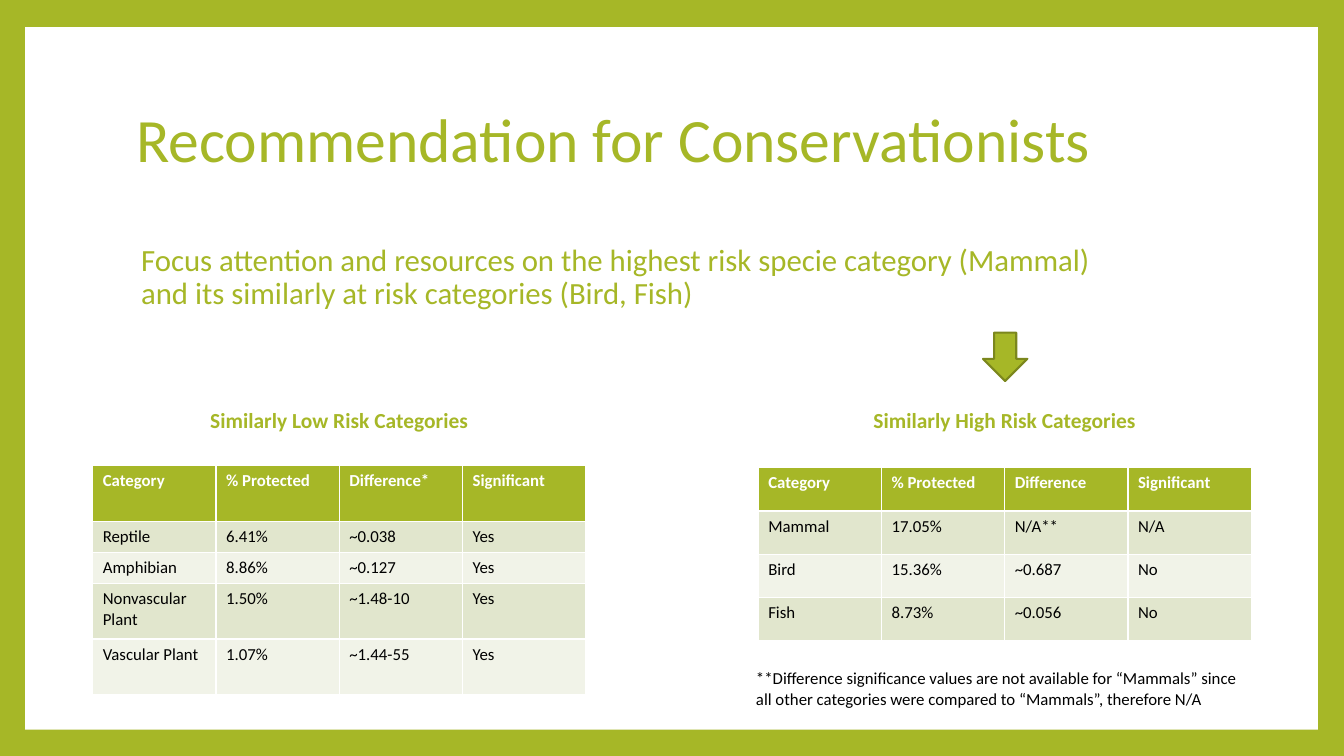
from dataclasses import dataclass

from pptx import Presentation
from pptx.dml.color import RGBColor
from pptx.enum.shapes import MSO_SHAPE
from pptx.enum.text import MSO_ANCHOR, PP_ALIGN
from pptx.util import Inches, Pt

RECT, ARROW = MSO_SHAPE.RECTANGLE, MSO_SHAPE.DOWN_ARROW
TOP, MIDDLE = MSO_ANCHOR.TOP, MSO_ANCHOR.MIDDLE
LEFT, CENTER = PP_ALIGN.LEFT, PP_ALIGN.CENTER


@dataclass(frozen=True)
class Theme:
    font: str = "Calibri"
    green: str = "A6B727"
    edge: str = "7B871D"
    white: str = "FFFFFF"
    black: str = "000000"
    bands: tuple = ("E1E6CD", "F1F3E8")
    title: float = 44
    lead: float = 22
    label: float = 15.3
    small: float = 12


def paint(fill, color):
    fill.solid()
    fill.fore_color.rgb = RGBColor.from_string(color)


def write(frame, text, font, size, color, bold=False, align=LEFT, spacing=1.0):
    para = frame.paragraphs[0]
    para.alignment = align
    para.line_spacing = spacing
    run = para.add_run()
    run.text = text
    run.font.name = font
    run.font.size = Pt(size)
    run.font.bold = bold
    run.font.color.rgb = RGBColor.from_string(color)


class Deck:
    def __init__(self, theme):
        self.theme = theme
        self.file = Presentation()
        self.file.slide_width = Inches(13.33)
        self.file.slide_height = Inches(7.5)
        self.slide = self.file.slides.add_slide(self.file.slide_layouts[5])
        paint(self.slide.background.fill, theme.green)

    def shape(self, kind, box, fill, line=None, width=1.5):
        item = self.slide.shapes.add_shape(kind, *map(Inches, box))
        item.shadow.inherit = False
        paint(item.fill, fill)
        if line:
            paint(item.line.fill, line)
            item.line.width = Pt(width)
        else:
            item.line.fill.background()

    def title(self, text, box):
        item = self.slide.shapes.title
        item.left, item.top, item.width, item.height = map(Inches, box)
        item.text_frame.word_wrap = True
        item.text_frame.vertical_anchor = MIDDLE
        write(item.text_frame, text, self.theme.font, self.theme.title,
              self.theme.green, spacing=0.9)

    def text(self, text, box, size, color, anchor=TOP, inset=0.1, **style):
        frame = self.slide.shapes.add_textbox(*map(Inches, box)).text_frame
        frame.word_wrap = True
        frame.vertical_anchor = anchor
        frame.margin_left = Inches(inset)
        write(frame, text, self.theme.font, size, color, **style)

    def label(self, text, left):
        self.text(text, (left, 3.94, 3.07, 0.49), self.theme.label, self.theme.green,
                  anchor=MIDDLE, bold=True, align=CENTER, spacing=0.8)

    def table(self, rows, left, top, heights, width=4.89):
        theme = self.theme
        box = (left, top, width, sum(heights))
        grid = self.slide.shapes.add_table(len(rows), len(rows[0]), *map(Inches, box)).table
        for i, (row, height) in enumerate(zip(rows, heights)):
            grid.rows[i].height = Inches(height)
            head = i == 0
            fill = theme.green if head else theme.bands[(i - 1) % 2]
            for j, text in enumerate(row):
                cell = grid.cell(i, j)
                paint(cell.fill, fill)
                write(cell.text_frame, text, theme.font, theme.small,
                      theme.white if head else theme.black, bold=head)


LOW = [
    ("Category", "% Protected", "Difference*", "Significant"),
    ("Reptile", "6.41%", "~0.038", "Yes"),
    ("Amphibian", "8.86%", "~0.127", "Yes"),
    ("Nonvascular Plant", "1.50%", "~1.48-10", "Yes"),
    ("Vascular Plant", "1.07%", "~1.44-55", "Yes"),
]
HIGH = [
    ("Category", "% Protected", "Difference", "Significant"),
    ("Mammal", "17.05%", "N/A**", "N/A"),
    ("Bird", "15.36%", "~0.687", "No"),
    ("Fish", "8.73%", "~0.056", "No"),
]
LEAD = ("Focus attention and resources on the highest risk specie category (Mammal) "
        "and its similarly at risk categories (Bird, Fish)")
NOTE = ("**Difference significance values are not available for “Mammals” since "
        "all other categories were compared to “Mammals”, therefore N/A")

theme = Theme()
deck = Deck(theme)
panel = (0.25, 0.27, 12.82, 6.97)
deck.shape(RECT, panel, theme.white)
tree = deck.slide.shapes.title.element.getparent()
tree.append(deck.slide.shapes.title.element)
deck.title("Recommendation for Conservationists", (1.25, 0.67, 10.8, 1.48))
deck.text(LEAD, (1.25, 2.38, 9.76, 0.97), theme.lead, theme.green, inset=0.15, spacing=0.9)
deck.label("Similarly Low Risk Categories", 1.83)
deck.label("Similarly High Risk Categories", 8.43)
deck.table(LOW, 0.92, 4.62, (0.55, 0.31, 0.31, 0.55, 0.55))
deck.table(HIGH, 7.52, 4.64, (0.43,) * len(HIGH))
deck.shape(ARROW, (9.75, 3.3, 0.44, 0.48), theme.green, line=theme.edge)
deck.text(NOTE, (7.4, 6.58, 5.14, 0.5), theme.small, theme.black)
deck.file.save("out.pptx")
